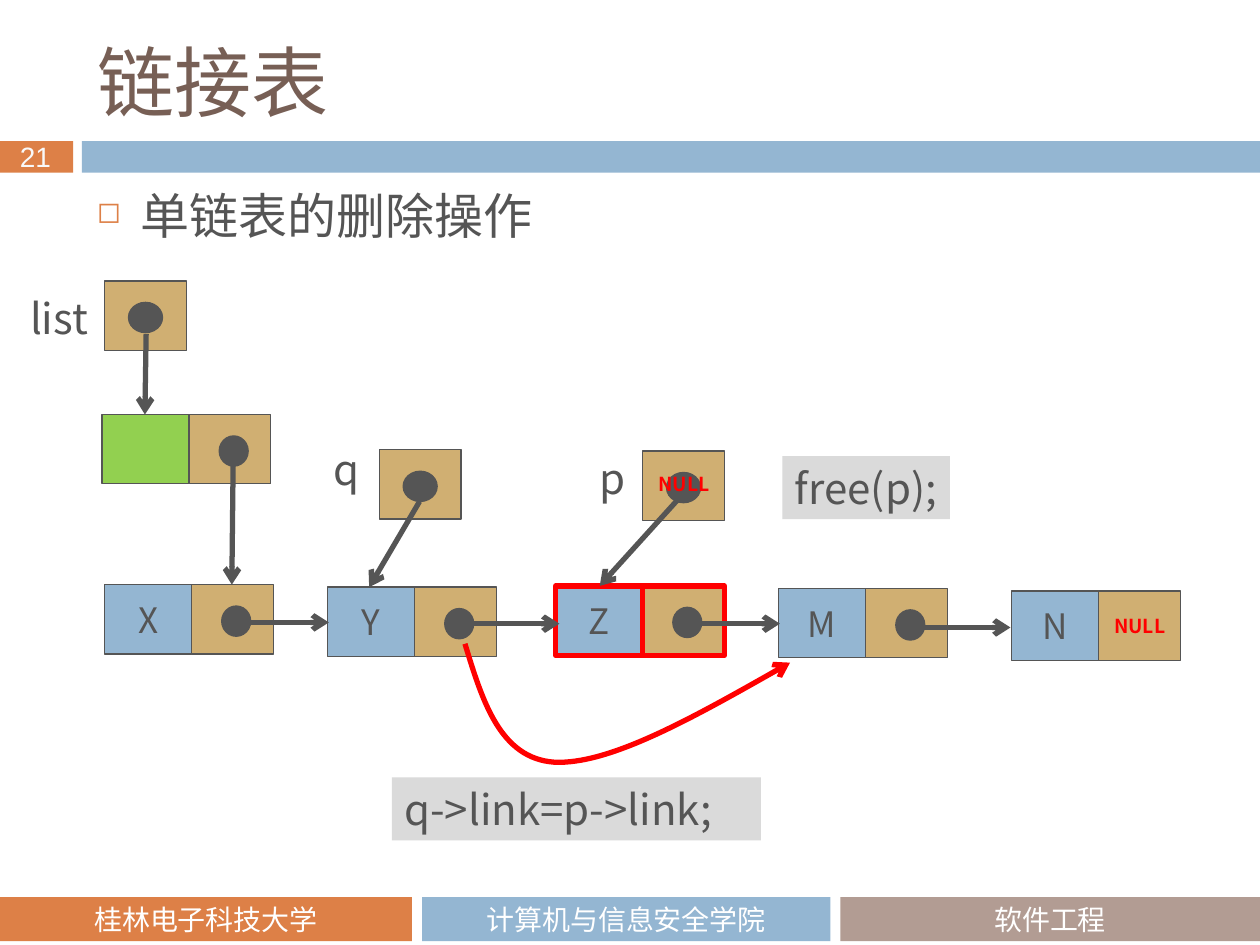
import pptx
import pptx.util
import pptx.dml.color
import pptx.enum.shapes
import pptx.enum.text
import pptx.oxml
import pptx.oxml.ns

Inches = pptx.util.Inches
Pt = pptx.util.Pt
SHAPES = pptx.enum.shapes.MSO_SHAPE
ALIGN = pptx.enum.text.PP_ALIGN
ANCHOR = pptx.enum.text.MSO_ANCHOR

FONT = "Noto Sans CJK SC"
DARK, RED, WHITE = "555555", "FF0000", "FFFFFF"
BLUE, ORANGE, MAUVE = "94B6D2", "DD8047", "B29C93"
TAN, GREEN, GREY, BROWN = "D0AF72", "92D050", "DADADA", "775F55"
DATA_WIDTH, LINK_WIDTH, CELL_HEIGHT = 0.69, 0.65, 0.55


def color(value):
    return pptx.dml.color.RGBColor.from_string(value)


def sub_element(parent, tag, **attributes):
    element = pptx.oxml.parse_xml(
        f'<a:{tag} {pptx.oxml.ns.nsdecls("a")}/>')
    for name, value in attributes.items():
        element.set(name, value)
    parent.append(element)
    return element


def write(shape, text, size, hex_color, font=FONT, align=ALIGN.LEFT, bold=False):
    paragraph = shape.text_frame.paragraphs[0]
    paragraph.alignment = align
    run = paragraph.add_run()
    run.text = text
    run.font.size = Pt(size)
    run.font.name = font
    run.font.bold = bold
    run.font.color.rgb = color(hex_color)
    sub_element(run.font._element, "ea", typeface=font)
    return paragraph


def add_box(slide, left, top, width, height, fill, line=None, line_width=0.75,
            kind=SHAPES.RECTANGLE):
    shape = slide.shapes.add_shape(
        kind, Inches(left), Inches(top), Inches(width), Inches(height))
    shape.shadow.inherit = False
    shape.fill.solid()
    shape.fill.fore_color.rgb = color(fill)
    if line:
        shape.line.color.rgb = color(line)
        shape.line.width = Pt(line_width)
    else:
        shape.line.fill.background()
    shape.text_frame.vertical_anchor = ANCHOR.MIDDLE
    return shape


def add_dot(slide, left, top, width=0.23):
    add_box(slide, left, top, width, 0.24, DARK, DARK, kind=SHAPES.OVAL)


def fit_to_text(shape):
    shape.text_frame.word_wrap = False
    shape.text_frame.auto_size = pptx.enum.text.MSO_AUTO_SIZE.SHAPE_TO_FIT_TEXT
    shape.text_frame.vertical_anchor = ANCHOR.TOP


def add_label(slide, left, top, width, height, text, size, hex_color, **style):
    label = slide.shapes.add_textbox(
        Inches(left), Inches(top), Inches(width), Inches(height))
    fit_to_text(label)
    write(label, text, size, hex_color, **style)


def add_code(slide, left, top, width, text):
    box = add_box(slide, left, top, width, 0.5, GREY)
    fit_to_text(box)
    write(box, text, 24, DARK)


def style_arrow(shape, hex_color):
    shape.line.color.rgb = color(hex_color)
    shape.line.width = Pt(3)
    sub_element(shape.line._get_or_add_ln(), "tailEnd", type="arrow")


def add_arrow(slide, start_x, start_y, end_x, end_y):
    arrow = slide.shapes.add_connector(
        pptx.enum.shapes.MSO_CONNECTOR.STRAIGHT,
        Inches(start_x), Inches(start_y), Inches(end_x), Inches(end_y))
    style_arrow(arrow, DARK)
    sub_element(arrow._element.spPr, "effectLst")


def add_curved_arrow(slide, points):
    start, *others = [(Inches(x), Inches(y)) for x, y in points]
    builder = slide.shapes.build_freeform(*start)
    builder.add_line_segments(others, close=False)
    curve = builder.convert_to_shape()
    # Every three line ends become one Bezier segment
    path = curve._element.find(".//" + pptx.oxml.ns.qn("a:path"))
    lines = path.findall(pptx.oxml.ns.qn("a:lnTo"))
    for first in range(0, len(lines), 3):
        bezier = sub_element(path, "cubicBezTo")
        for line in lines[first:first + 3]:
            bezier.append(line[0])
            path.remove(line)
    curve.fill.background()
    curve.shadow.inherit = False
    style_arrow(curve, RED)


def add_node(slide, left, top, text="", fill=BLUE, line=DARK, line_width=0.75,
             last=False):
    data = add_box(slide, left, top, DATA_WIDTH, CELL_HEIGHT, fill, line, line_width)
    if text:
        write(data, text, 20, DARK, align=ALIGN.CENTER)
    link = add_box(slide, left + DATA_WIDTH, top, LINK_WIDTH, CELL_HEIGHT,
                   TAN, line, line_width)
    if last:
        link.text_frame.margin_left = link.text_frame.margin_right = 0
        write(link, "NULL", 11, RED, align=ALIGN.CENTER, bold=True)
    else:
        add_dot(slide, left + 0.93, top + 0.17)


def add_pointer(slide, left, top):
    add_box(slide, left, top, LINK_WIDTH, CELL_HEIGHT, TAN, DARK)
    add_dot(slide, left + 0.19, top + 0.17, 0.27)


def add_frame(slide):
    # Band under the title with the slide number
    add_box(slide, 0, 1.12, 0.58, 0.25, ORANGE)
    add_box(slide, 0.65, 1.12, 9.35, 0.25, BLUE)
    add_label(slide, 0.06, 1.06, 0.48, 0.37, "21", 16, "F9F9F9", font="Arial")
    # Footer
    for left, width, fill, text in [(0, 3.27, ORANGE, "桂林电子科技大学"),
                                    (3.35, 3.24, BLUE, "计算机与信息安全学院"),
                                    (6.67, 3.33, MAUVE, "软件工程")]:
        footer = add_box(slide, left, 7.12, width, 0.35, fill)
        write(footer, text, 16, WHITE, font="Calibri", align=ALIGN.CENTER)


def add_headings(slide):
    title = slide.shapes.title
    title.left, title.top = Inches(0.67), Inches(0.25)
    title.width, title.height = Inches(8.92), Inches(0.78)
    title.text_frame.vertical_anchor = ANCHOR.MIDDLE
    write(title, "链接表", 44, BROWN, font="Noto Sans CJK JP")

    body = slide.shapes.add_textbox(
        Inches(0.67), Inches(1.47), Inches(8.92), Inches(0.76))
    body.text_frame.word_wrap = True
    paragraph = write(body, "单链表的删除操作", 28, DARK)
    paragraph.line_spacing = Pt(30)
    properties = paragraph._p.get_or_add_pPr()
    properties.set("marL", str(Inches(0.35)))
    properties.set("indent", str(-Inches(0.35)))
    sub_element(sub_element(properties, "buClr"), "srgbClr", val=ORANGE)
    sub_element(properties, "buSzPct", val="60000")
    sub_element(properties, "buChar", char="◻")


def add_list(slide):
    # Head node and the chain
    add_node(slide, 0.81, 3.29, fill=GREEN)
    add_node(slide, 0.83, 4.64, "X")
    add_node(slide, 2.6, 4.66, "Y")
    add_node(slide, 4.41, 4.65, "Z", line=RED, line_width=3)
    add_node(slide, 6.18, 4.67, "M")
    add_node(slide, 8.03, 4.69, "N", last=True)
    # Pointer variables
    for left, top in [(0.83, 2.23), (3.01, 3.57), (5.1, 3.58)]:
        add_pointer(slide, left, top)
    for left, top, width, text in [(0.14, 2.27, 0.71, "list"),
                                   (2.55, 3.47, 0.41, "q"),
                                   (4.66, 3.54, 0.41, "p")]:
        add_label(slide, left, top, width, 0.5, text, 24, DARK)
    # Links
    for ends in [(1.16, 2.65, 1.15, 3.29), (1.85, 3.7, 1.84, 4.64),
                 (3.33, 3.98, 2.93, 4.66), (5.43, 3.91, 4.76, 4.65),
                 (1.86, 4.94, 2.61, 4.94), (3.76, 4.95, 4.44, 4.95),
                 (5.44, 4.95, 6.19, 4.95), (7.27, 4.98, 8.02, 4.98)]:
        add_arrow(slide, *ends)


def add_deletion(slide):
    # New link from Y past Z to M
    add_curved_arrow(slide, [
        (3.69, 5.11), (3.83, 5.57), (3.97, 6.02), (4.4, 6.05),
        (4.83, 6.07), (5.55, 5.67), (6.27, 5.26)])
    add_label(slide, 5.12, 3.7, 0.62, 0.29, "NULL", 11, RED,
              align=ALIGN.CENTER, bold=True)
    add_code(slide, 3.11, 6.17, 2.93, "q->link=p->link;")
    add_code(slide, 6.21, 3.62, 1.33, "free(p);")


def main():
    presentation = pptx.Presentation()
    presentation.slide_width = Inches(10)
    presentation.slide_height = Inches(7.5)
    slide = presentation.slides.add_slide(presentation.slide_layouts[5])
    add_frame(slide)
    add_headings(slide)
    add_list(slide)
    add_deletion(slide)
    presentation.save("out.pptx")


if __name__ == "__main__":
    main()
